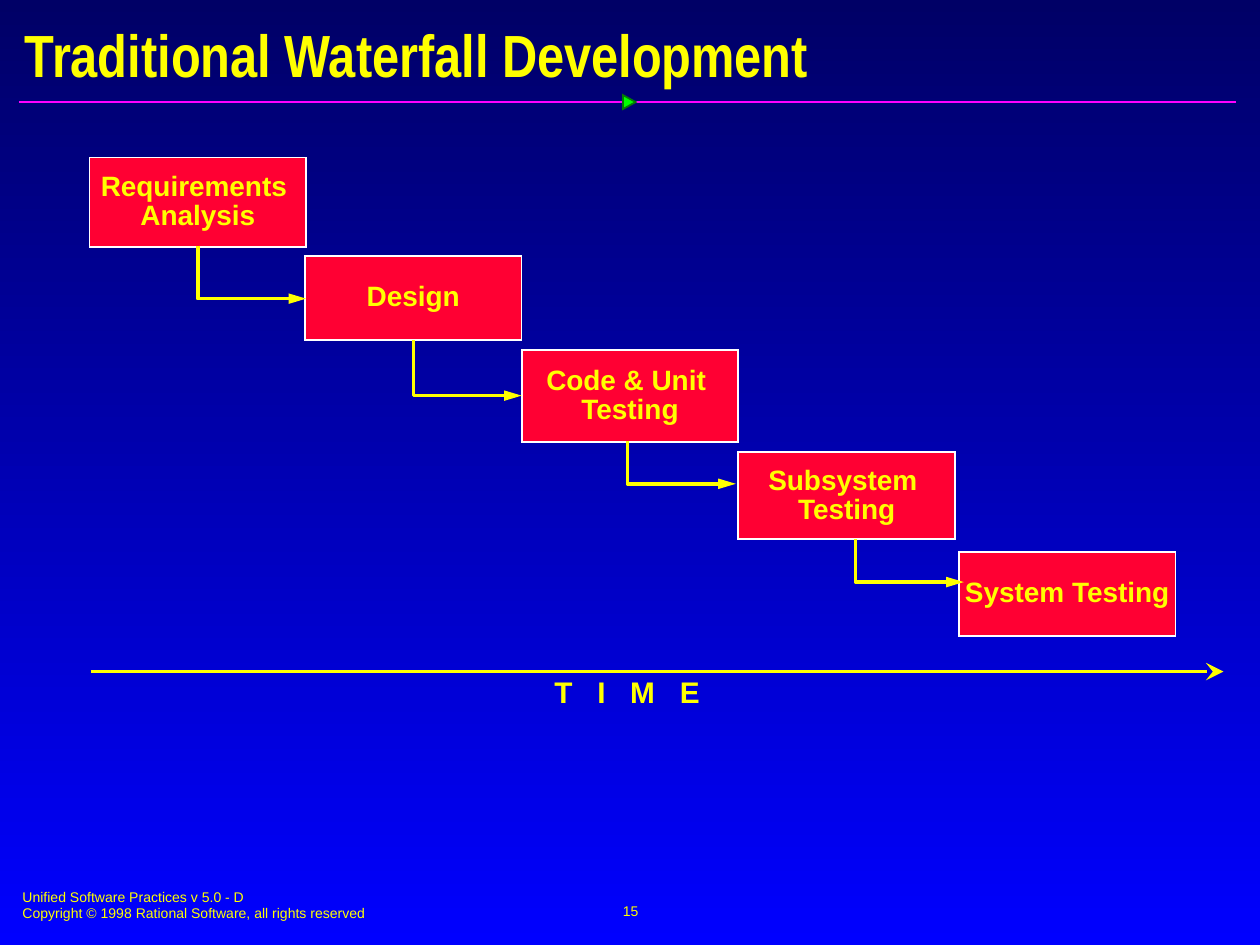
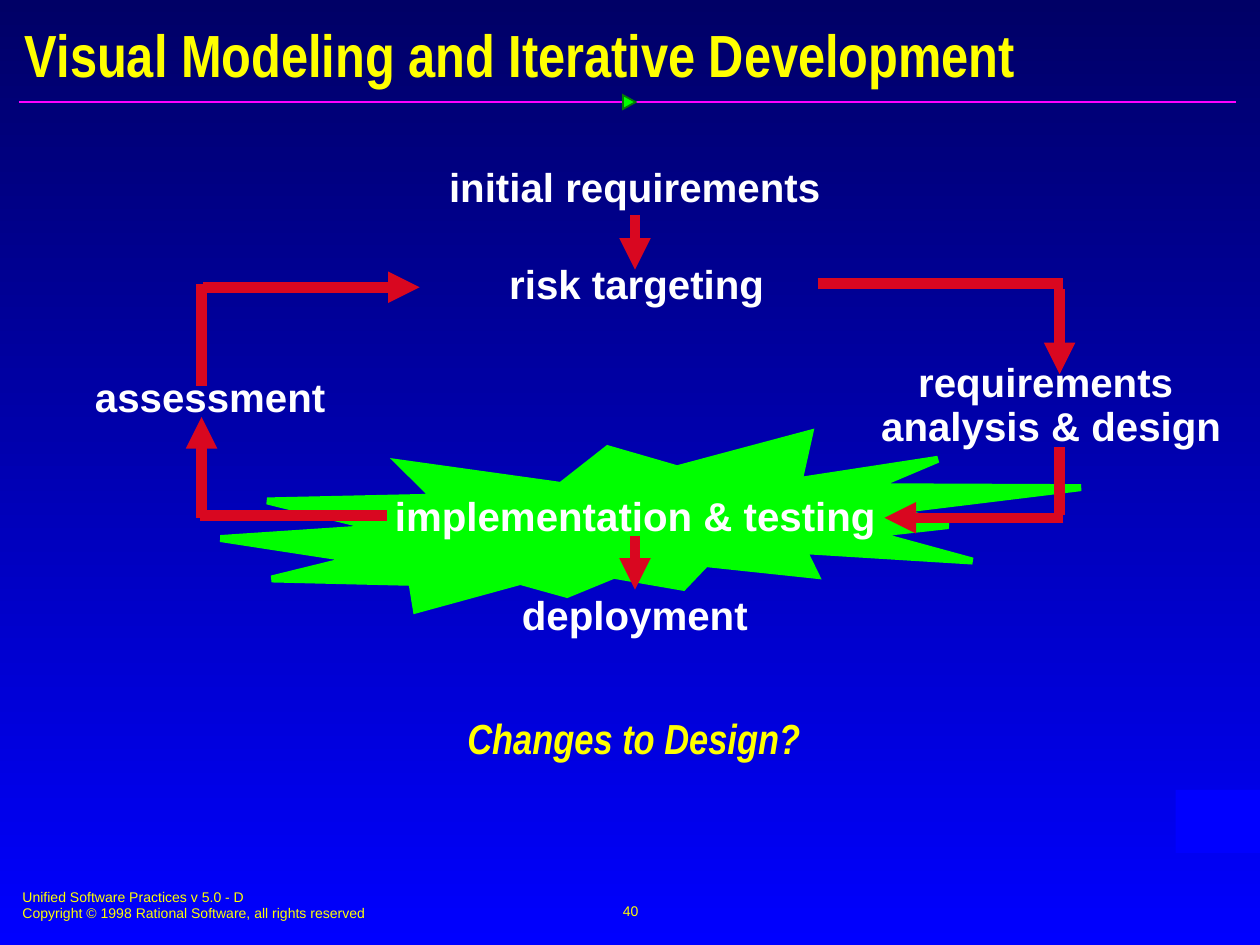
from dataclasses import dataclass
from typing import Any, Optional

from lxml import etree
from pptx import Presentation
from pptx import util as u
from pptx.dml.color import RGBColor
from pptx.enum import shapes, text
from pptx.oxml.ns import qn

Inches, Pt = u.Inches, u.Pt
MSO, CONN = shapes.MSO_SHAPE, shapes.MSO_CONNECTOR
CENTER, LEFT = text.PP_ALIGN.CENTER, text.PP_ALIGN.LEFT
MIDDLE, TOP = text.MSO_ANCHOR.MIDDLE, text.MSO_ANCHOR.TOP


@dataclass(frozen=True)
class Theme:
    sky_top: str = "000066"
    sky_bottom: str = "0000FF"
    yellow: str = "FFFF00"
    white: str = "FFFFFF"
    magenta: str = "FF01FF"
    green: str = "00FF00"
    dark_green: str = "037C03"
    box_red: str = "FF0033"
    arrow_red: str = "D90720"
    body: str = "Arial"
    narrow: str = "Arial Narrow"
    title_size: int = 34
    closing_size: int = 24
    label_size: int = 23
    time_size: int = 17
    step_size: int = 16
    footer_size: int = 8


T = Theme()


@dataclass(frozen=True)
class Style:
    size: int
    color: str = T.yellow
    font: str = T.body
    bold: bool = True
    italic: bool = False
    align: Any = CENTER
    anchor: Any = TOP
    spacing: float = 1.0
    wrap: bool = False
    inset: tuple[float, float] = (0.09, 0.05)


TITLE = Style(T.title_size, font=T.narrow, align=LEFT, anchor=MIDDLE, wrap=True, inset=(0.1, 0.05))
FOOTER = Style(T.footer_size, bold=False, align=LEFT, wrap=True, inset=(0.1, 0.05))
NUMBER = Style(T.footer_size, bold=False, anchor=MIDDLE, inset=(0.1, 0.05))
STEP = Style(T.step_size, anchor=MIDDLE, spacing=0.87, inset=(0.09, 0.04))
TIME = Style(T.time_size, align=LEFT, spacing=0.9, inset=(0.09, 0.04))
LABEL = Style(T.label_size, T.white, spacing=0.9)
CLOSING = Style(T.closing_size, font=T.narrow, italic=True, spacing=0.87, wrap=True)


@dataclass(frozen=True)
class Box:
    left: float
    top: float
    width: float
    height: float

    def lengths(self) -> list[int]:
        return [Inches(v) for v in (self.left, self.top, self.width, self.height)]


@dataclass(frozen=True)
class Step:
    words: str
    box: Box
    arrow_start: Optional[tuple[float, float]] = None
    drop: float = 0


@dataclass(frozen=True)
class Label:
    words: str
    box: Box


@dataclass(frozen=True)
class Arrow:
    x1: float
    y1: float
    x2: float
    y2: float
    head: bool = True


def set_all(target: Any, values: dict[str, Any]) -> None:
    for name, value in values.items():
        setattr(target, name, value)


def write(tf: Any, words: str, style: Style) -> None:
    """Fill a text frame, one paragraph for each line."""
    across, down = (Inches(v) for v in style.inset)
    set_all(tf, {"word_wrap": style.wrap, "vertical_anchor": style.anchor,
                 "margin_left": across, "margin_right": across,
                 "margin_top": down, "margin_bottom": down})
    for i, line in enumerate(words.split("\n")):
        p = tf.add_paragraph() if i else tf.paragraphs[0]
        set_all(p, {"alignment": style.align, "line_spacing": style.spacing})
        r = p.add_run()
        r.text = line
        set_all(r.font, {"name": style.font, "size": Pt(style.size),
                         "bold": style.bold, "italic": style.italic})
        r.font.color.rgb = RGBColor.from_string(style.color)


def add_text(s: Any, words: str, box: Box, style: Style) -> Any:
    sp = s.shapes.add_textbox(*box.lengths())
    write(sp.text_frame, words, style)
    return sp


def add_block(s: Any, kind: Any, box: Box, fill: str,
              line: Optional[str] = None, width: float = 1) -> Any:
    sp = s.shapes.add_shape(kind, *box.lengths())
    sp.shadow.inherit = False
    sp.fill.solid()
    sp.fill.fore_color.rgb = RGBColor.from_string(fill)
    if line:
        sp.line.color.rgb = RGBColor.from_string(line)
        sp.line.width = Pt(width)
        etree.SubElement(sp.line._get_or_add_ln(), qn("a:miter"), lim="800000")
    else:
        sp.line.fill.background()
    return sp


def add_line(s: Any, a: Arrow, color: str, width: float, head: str = "triangle",
             head_width: str = "med", head_length: str = "med") -> Any:
    ends = [Inches(v) for v in (a.x1, a.y1, a.x2, a.y2)]
    c = s.shapes.add_connector(CONN.STRAIGHT, *ends)
    c.line.color.rgb = RGBColor.from_string(color)
    c.line.width = Pt(width)
    if a.head:
        etree.SubElement(c.line._get_or_add_ln(), qn("a:tailEnd"),
                         type=head, w=head_width, len=head_length)
    etree.SubElement(c._element.spPr, qn("a:effectLst"))
    return c


def add_elbow(s: Any, x: float, y: float, run: float, drop: float) -> None:
    """Arrow that goes down, then right: a one-bend connector turned by 270 degrees."""
    c = add_line(s, Arrow(x, y, x + run, y + drop), T.yellow, 2, head_length="lg")
    box = Box(x + (run - drop) / 2, y + (drop - run) / 2, drop, run)
    set_all(c, dict(zip(("left", "top", "width", "height"), box.lengths())))
    spPr = c._element.spPr
    spPr.find(qn("a:prstGeom")).set("prst", "bentConnector2")
    xfrm = spPr.find(qn("a:xfrm"))
    xfrm.set("rot", str(270 * 60000))
    xfrm.set("flipH", "1")


def start_slide(prs: Any, title: str, number: int) -> Any:
    """Blank slide with the shared background, title, rule and footer."""
    s = prs.slides.add_slide(prs.slide_layouts[6])
    fill = s.background.fill
    fill.gradient()
    fill.gradient_angle = 270
    for stop, color in zip(fill.gradient_stops, (T.sky_top, T.sky_bottom)):
        stop.color.rgb = RGBColor.from_string(color)
    add_line(s, Arrow(0.15, 0.81, 9.81, 0.81, head=False), T.magenta, 1)
    marker = add_block(s, MSO.ISOSCELES_TRIANGLE, Box(4.94, 0.76, 0.11, 0.1),
                       T.green, T.dark_green)
    marker.rotation = 90
    add_text(s, "Unified Software Practices v 5.0 - D\n"
             "Copyright © 1998 Rational Software, all rights reserved",
             Box(0.08, 7, 5.1, 0.37), FOOTER)
    add_text(s, str(number), Box(3.42, 6.98, 3.17, 0.5), NUMBER)
    add_text(s, title, Box(0.1, 0.14, 9.84, 0.58), TITLE)
    return s


STEP_WIDTH = 1.72
STEPS = [
    Step("Requirements \nAnalysis", Box(0.71, 1.25, STEP_WIDTH, 0.71), (1.57, 1.95), 0.42),
    Step("Design", Box(2.42, 2.03, STEP_WIDTH, 0.67), (3.28, 2.7), 0.44),
    Step("Code & Unit \nTesting", Box(4.14, 2.78, STEP_WIDTH, 0.73), (4.98, 3.5), 0.34),
    Step("Subsystem \nTesting", Box(5.86, 3.59, STEP_WIDTH, 0.69), (6.79, 4.28), 0.34),
    Step("System Testing", Box(7.61, 4.38, STEP_WIDTH, 0.67)),
]

LABELS = [
    Label("initial requirements", Box(3.47, 1.28, 3.14, 0.44)),
    Label("risk targeting", Box(3.95, 2.05, 2.21, 0.44)),
    Label("requirements \nanalysis & design", Box(6.9, 2.83, 2.89, 0.78)),
    Label("implementation & testing", Box(3.04, 3.89, 4.01, 0.44)),
    Label("deployment", Box(4.05, 4.68, 1.98, 0.44)),
    Label("assessment", Box(0.66, 2.95, 2.02, 0.44)),
]

CYCLE = [
    Arrow(5.04, 1.71, 5.04, 2.14),
    Arrow(6.49, 2.25, 8.44, 2.25, head=False),
    Arrow(8.41, 2.29, 8.41, 2.97),
    Arrow(8.41, 3.55, 8.41, 4.09, head=False),
    Arrow(8.44, 4.11, 7.02, 4.11),
    Arrow(5.04, 4.25, 5.04, 4.68),
    Arrow(3.07, 4.09, 1.59, 4.09, head=False),
    Arrow(1.6, 4.11, 1.6, 3.31),
    Arrow(1.6, 3.06, 1.6, 2.25, head=False),
    Arrow(1.61, 2.28, 3.33, 2.28),
]


def waterfall_slide(prs: Any) -> None:
    s = start_slide(prs, "Traditional Waterfall Development", 15)
    # Time axis, with its letters spread out; the box leaves room after the last letter
    time = add_text(s, "T I M E", Box(4.31, 5.34, 1.6, 0.34), TIME)
    time.text_frame.paragraphs[0].runs[0].font._element.set("spc", "470")
    add_line(s, Arrow(0.72, 5.33, 9.71, 5.33), T.yellow, 2, "stealth", "lg", "lg")
    # Staircase of steps
    for step in STEPS:
        sp = add_block(s, MSO.RECTANGLE, step.box, T.box_red, T.white)
        write(sp.text_frame, step.words, STEP)
    for step in STEPS:
        if step.arrow_start:
            add_elbow(s, *step.arrow_start, STEP_WIDTH / 2, step.drop)


def iterative_slide(prs: Any) -> None:
    s = start_slide(prs, "Visual Modeling and Iterative Development", 40)
    # Burst behind the current activity
    add_block(s, MSO.EXPLOSION2, Box(1.75, 3.44, 6.83, 1.4), T.green, T.green, 4)
    # Development cycle
    for label in LABELS:
        add_text(s, label.words, label.box, LABEL)
    for arrow in CYCLE:
        add_line(s, arrow, T.arrow_red, 6)
    # Closing question and corner block
    add_text(s, "Changes to Design?", Box(2.92, 5.66, 4.22, 0.44), CLOSING)
    add_block(s, MSO.RECTANGLE, Box(9.33, 6.27, 0.67, 0.5), T.sky_bottom)


def main() -> None:
    prs = Presentation()
    set_all(prs, {"slide_width": Inches(10), "slide_height": Inches(7.5)})
    waterfall_slide(prs)
    iterative_slide(prs)
    prs.save("out.pptx")


if __name__ == "__main__":
    main()
